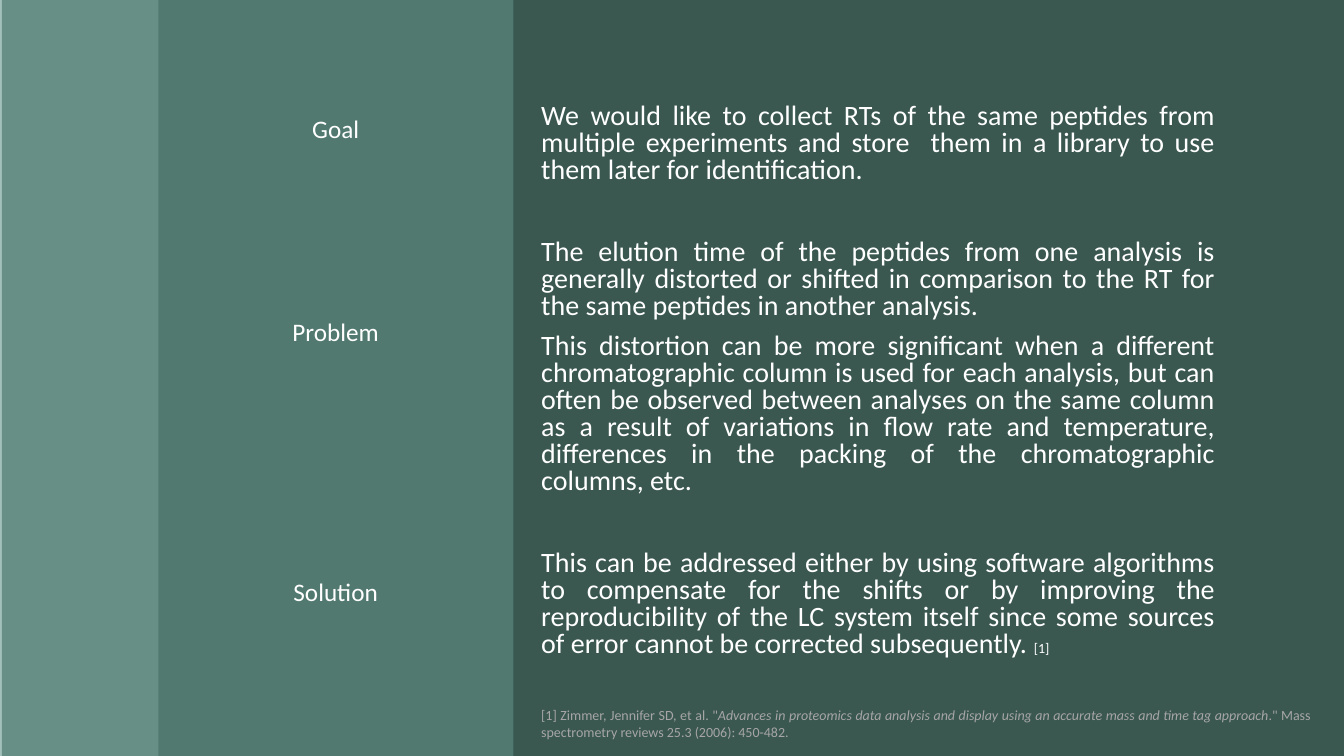
"""Build a slide that sets out the goal, problem and solution of retention time libraries."""
from dataclasses import dataclass

from lxml import etree
from pptx import Presentation
from pptx.dml.color import RGBColor
from pptx.enum.shapes import MSO_SHAPE
from pptx.enum.text import MSO_ANCHOR, PP_ALIGN
from pptx.oxml.ns import qn
from pptx.slide import Slide
from pptx.util import Cm, Pt

RECTANGLE = MSO_SHAPE.RECTANGLE
TOP = MSO_ANCHOR.TOP
CENTER = PP_ALIGN.CENTER
JUSTIFY = PP_ALIGN.JUSTIFY

COLORS = {
    "backdrop": "3A5750",
    "label_band": "578279",
    "edge_band": "7BA79D",
    "text": "FFFFFF",
    "citation": "A6A6A6",
}
FONT = "Calibri"
SLIDE_WIDTH, SLIDE_HEIGHT = 33.87, 19.05
EDGE_WIDTH = 4.0
LABEL_LEFT, LABEL_WIDTH, LABEL_HEIGHT = 6.53, 3.86, 1.02
BODY_LEFT = 13.39
STEP_GAP, SECTION_GAP = 10, 39.5


@dataclass(frozen=True)
class Band:
    left: float
    width: float
    color: str
    opacity: int


@dataclass(frozen=True)
class Run:
    text: str
    size: float
    color: str = "text"
    italic: bool = False


@dataclass(frozen=True)
class Paragraph:
    runs: tuple[Run, ...]
    alignment: PP_ALIGN = JUSTIFY
    space_before: float = 0
    line_spacing: float = 1.0


@dataclass(frozen=True)
class TextBlock:
    left: float
    top: float
    width: float
    height: float
    paragraphs: tuple[Paragraph, ...]


def statement(text: str, space_before: float, *extra: Run) -> Paragraph:
    """Return one justified paragraph of the body."""
    return Paragraph((Run(text, 20), *extra), JUSTIFY, space_before, 0.8)


BANDS = (
    Band(0.05, SLIDE_WIDTH, "backdrop", 100),
    Band(EDGE_WIDTH, 8.94, "label_band", 80),
    Band(0, EDGE_WIDTH, "edge_band", 70),
)
LABEL_TOPS = {"Goal": 2.74, "Problem": 7.85, "Solution": 14.4}
LABELS = tuple(
    TextBlock(LABEL_LEFT, top, LABEL_WIDTH, LABEL_HEIGHT,
              (Paragraph((Run(label, 18),), CENTER),))
    for label, top in LABEL_TOPS.items()
)
BODY = TextBlock(BODY_LEFT, 2.49, 17.48, 14.27, (
    statement(
        "We would like to collect RTs of the same peptides from multiple experiments "
        "and store  them in a library to use them later for identification.", 0),
    statement(
        "The elution time of the peptides from one analysis is generally distorted or "
        "shifted in comparison to the RT for the same peptides in another analysis.",
        SECTION_GAP),
    statement(
        "This distortion can be more significant when a different chromatographic column "
        "is used for each analysis, but can often be observed between analyses on the "
        "same column as a result of variations in flow rate and temperature, differences "
        "in the packing of the chromatographic columns, etc.", STEP_GAP),
    statement(
        "This can be addressed either by using software algorithms to compensate for the "
        "shifts or by improving the reproducibility of the LC system itself since some "
        "sources of error cannot be corrected subsequently. ",
        SECTION_GAP, Run("[1]", 10)),
))
CITATION = TextBlock(BODY_LEFT, 17.68, 19.89, 1.12, (Paragraph((
    Run('[1] Zimmer, Jennifer SD, et al. "', 10, "citation"),
    Run("Advances in proteomics data analysis and display using an accurate mass "
        "and time tag approach", 10, "citation", True),
    Run('." Mass spectrometry reviews 25.3 (2006): 450-482.', 10, "citation"),
)),))


def draw_band(slide: Slide, band: Band) -> None:
    """Draw a full-height colour band."""
    rectangle = slide.shapes.add_shape(
        RECTANGLE, Cm(band.left), Cm(0), Cm(band.width), Cm(SLIDE_HEIGHT))
    rectangle.shadow.inherit = False
    rectangle.line.fill.background()
    rectangle.fill.solid()
    rectangle.fill.fore_color.rgb = RGBColor.from_string(COLORS[band.color])
    if band.opacity < 100:
        fill_color = rectangle.fill._xPr.find(f"{qn('a:solidFill')}/{qn('a:srgbClr')}")
        etree.SubElement(fill_color, qn("a:alpha"), val=str(band.opacity * 1000))


def draw_text(slide: Slide, block: TextBlock) -> None:
    """Draw a wrapped text box with its formatted paragraphs."""
    frame = slide.shapes.add_textbox(
        Cm(block.left), Cm(block.top), Cm(block.width), Cm(block.height)).text_frame
    frame.word_wrap = True
    frame.vertical_anchor = TOP
    for index, content in enumerate(block.paragraphs):
        paragraph = frame.add_paragraph() if index else frame.paragraphs[0]
        layout = {
            "alignment": content.alignment,
            "space_before": Pt(content.space_before),
            "line_spacing": content.line_spacing,
        }
        for attribute, value in layout.items():
            setattr(paragraph, attribute, value)
        for part in content.runs:
            run = paragraph.add_run()
            run.text = part.text
            style = {"name": FONT, "size": Pt(part.size), "italic": part.italic}
            for attribute, value in style.items():
                setattr(run.font, attribute, value)
            run.font.color.rgb = RGBColor.from_string(COLORS[part.color])


def main() -> None:
    """Create the presentation and save it."""
    presentation = Presentation()
    presentation.slide_width = Cm(SLIDE_WIDTH)
    presentation.slide_height = Cm(SLIDE_HEIGHT)
    slide = presentation.slides.add_slide(presentation.slide_layouts[6])
    for band in BANDS:
        draw_band(slide, band)
    for block in (BODY, *LABELS, CITATION):
        draw_text(slide, block)
    presentation.save("out.pptx")


if __name__ == "__main__":
    main()
